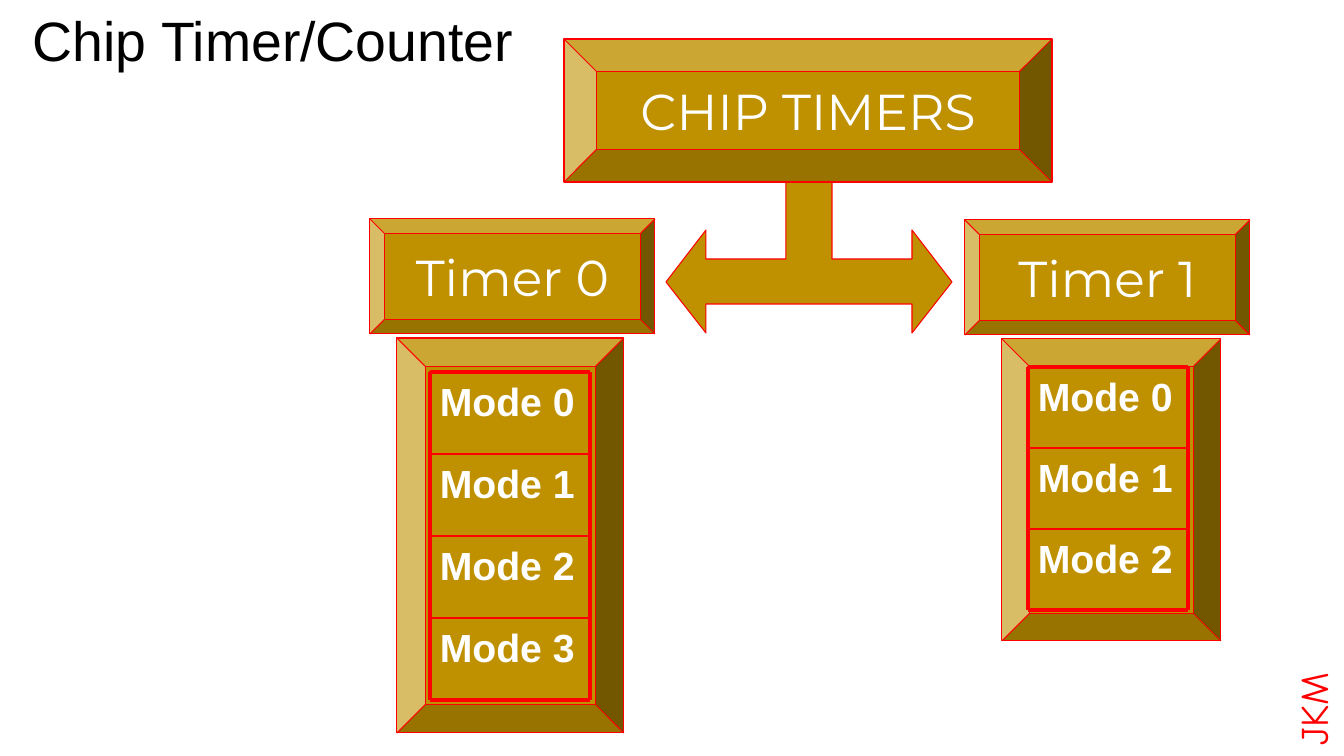
from pptx import Presentation
from pptx.dml.color import RGBColor
from pptx.enum.shapes import MSO_CONNECTOR, MSO_SHAPE
from pptx.enum.text import MSO_ANCHOR, PP_ALIGN
from pptx.oxml.ns import qn
from pptx.util import Pt

BEVEL, RECT = MSO_SHAPE.BEVEL, MSO_SHAPE.RECTANGLE
LINE = MSO_CONNECTOR.STRAIGHT
LEFT, MID = PP_ALIGN.LEFT, PP_ALIGN.CENTER
TOP, CENTER = MSO_ANCHOR.TOP, MSO_ANCHOR.MIDDLE

# Content: boxes are left, top, width, height in px
TITLE = ("Chip Timer/Counter", (0, 0, 546, 78))
MARK = ("JKM", (1256, 670, 113, 57))
HEAD = ("CHIP TIMERS", (564, 39, 488, 143))
TIMERS = [
    {"name": "Timer 0", "box": (370, 219, 285, 115),
     "frame": (397, 338, 227, 395), "grid": (430, 372), "row": 82,
     "modes": ["Mode 0", "Mode 1", "Mode 2", "Mode 3"]},
    {"name": "Timer 1", "box": (965, 220, 285, 115),
     "frame": (1002, 339, 219, 302), "grid": (1028, 367), "row": 81,
     "modes": ["Mode 0", "Mode 1", "Mode 2"]},
]
CELL = 160
# Right half of the three-way arrow: offset from its axis, y
AXIS = 809
HALF = [(0, 140), (52, 179), (23, 179), (23, 259), (103, 259),
        (103, 230), (143, 282), (103, 333), (103, 304)]
COLORS = {"gold": "BF9000", "red": "FF0000",
          "white": "FFFFFF", "black": "000000"}
SCALE = 914400 / 100.8


def emu(*vals):
    return [round(v * SCALE) for v in vals]


def color(name):
    return RGBColor.from_string(COLORS[name])


def write(shape, text, size, font="Montserrat", ink="white", bold=False,
          align=MID, anchor=CENTER, wrap=True):
    frame = shape.text_frame
    frame.word_wrap = wrap
    frame.vertical_anchor = anchor
    para = frame.paragraphs[0]
    para.alignment = align
    run = para.add_run()
    run.text = text
    run.font.size = Pt(size)
    run.font.name = font
    run.font.bold = bold
    run.font.color.rgb = color(ink)


def paint(shape):
    shape.shadow.inherit = False
    shape.fill.solid()
    shape.fill.fore_color.rgb = color("gold")
    shape.line.color.rgb = color("red")
    shape.line.width = Pt(0.75)


def block(kind, box, depth=None):
    shape = shapes.add_shape(kind, *emu(*box))
    paint(shape)
    if depth:
        shape.adjustments[0] = depth
    return shape


def rule(x1, y1, x2, y2, width):
    line = shapes.add_connector(LINE, *emu(x1, y1, x2, y2))
    line.line.color.rgb = color("red")
    line.line.width = Pt(width)
    props = line._element.spPr
    props.append(props.makeelement(qn("a:effectLst"), {}))


prs = Presentation()
prs.slide_width, prs.slide_height = emu(1344, 756)
slide = prs.slides.add_slide(prs.slide_layouts[5])
shapes = slide.shapes

# Title
text, box = TITLE
title = shapes.title
title.left, title.top, title.width, title.height = emu(*box)
write(title, text, 39.6, font="Arial", ink="black")

# Corner mark, reading upward
text, box = MARK
mark = shapes.add_textbox(*emu(*box))
mark.rotation = 270
write(mark, text, 28, font="Comic Neue", ink="red", align=LEFT, anchor=TOP)

# Timers with their mode lists
for timer in TIMERS:
    write(block(BEVEL, timer["box"], 0.125), timer["name"], 36, wrap=False)
    block(BEVEL, timer["frame"], 0.125)
    left, top = timer["grid"]
    row, modes = timer["row"], timer["modes"]
    count = len(modes)
    right, end = left + CELL, top + count * row
    for i, mode in enumerate(modes):
        cell = block(RECT, (left, top + i * row, CELL, row))
        write(cell, mode, 28, font="Arial", bold=True, align=LEFT, anchor=TOP)
    for i in range(count + 1):
        y = top + i * row
        rule(left, y, right, y, 2.25 if i in (0, count) else 1)
    for x in (left, right):
        rule(x, top, x, end, 2.25)

# Three-way arrow, mirrored about its axis
points = [(AXIS + x, y) for x, y in HALF]
points += [(AXIS - x, y) for x, y in HALF[:0:-1]]
path = shapes.build_freeform(*points[0], scale=SCALE)
path.add_line_segments(points[1:], close=True)
paint(path.convert_to_shape())

# Heading box covers the arrow's upper tip
text, box = HEAD
write(block(BEVEL, box, 0.227), text, 36, wrap=False)

prs.save("out.pptx")
